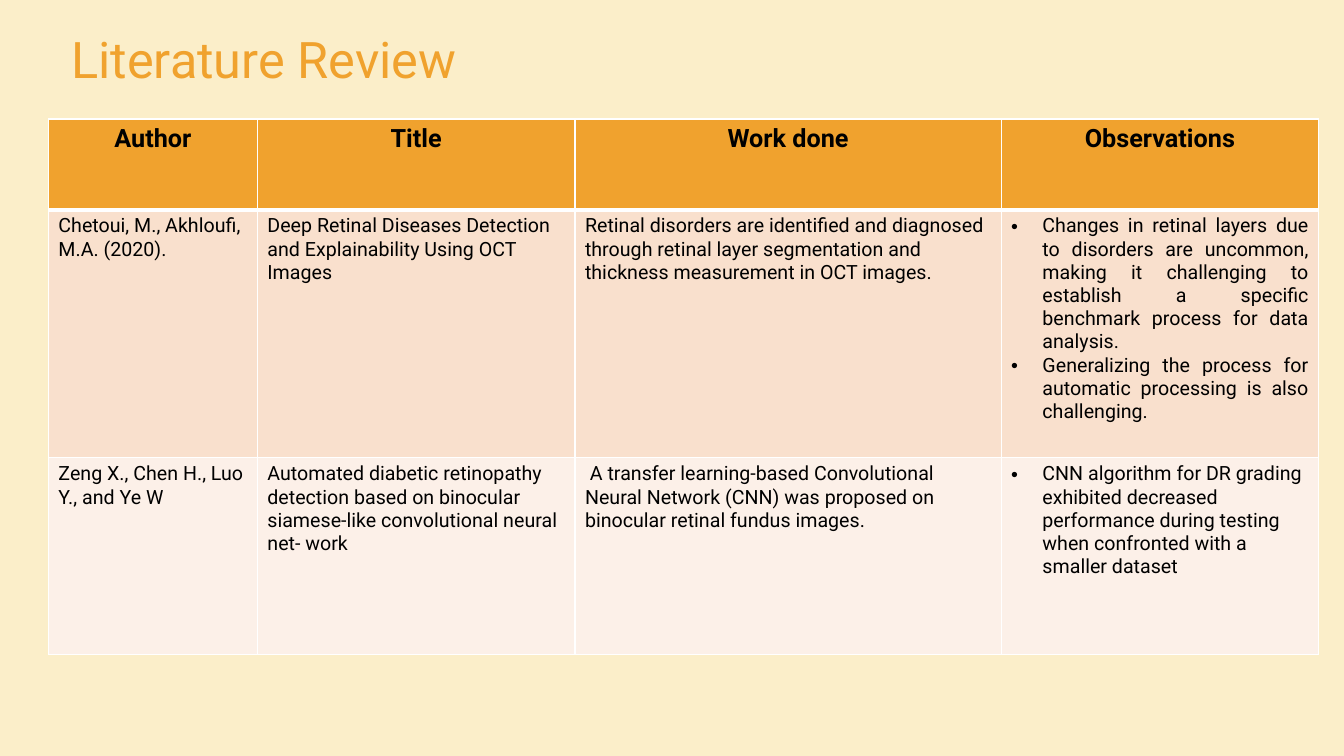
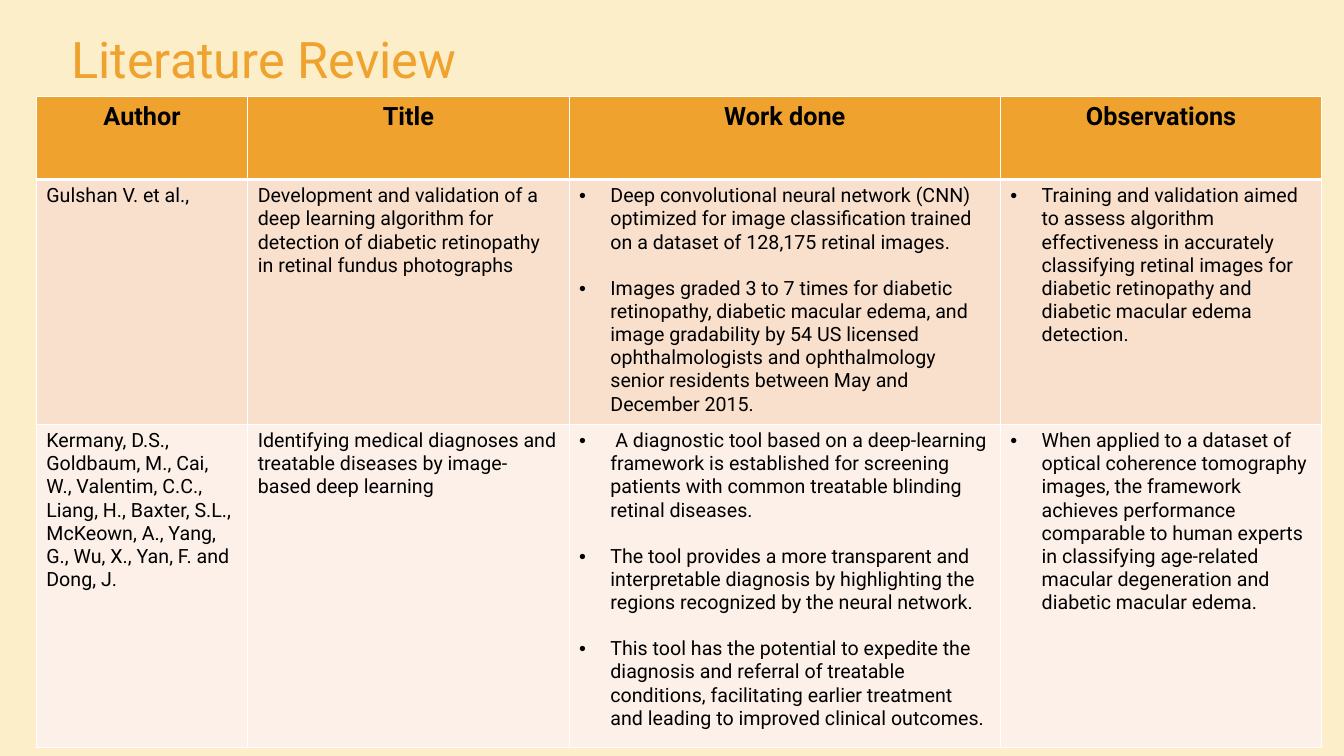
import dataclasses
import lxml.etree
import pptx
import pptx.dml.color
import pptx.enum.text
import pptx.oxml.ns
import pptx.util

Inches = pptx.util.Inches
Pt = pptx.util.Pt
ALIGN = pptx.enum.text.PP_ALIGN
qn = pptx.oxml.ns.qn


@dataclasses.dataclass(frozen=True)
class Theme:
    font: str = "Roboto"
    background: str = "FBEEC9"
    accent: str = "F0A22E"
    text: str = "000000"
    border: str = "FFFFFF"
    bands: tuple = ("F9E0CD", "FCF0E8")
    title_size: int = 36
    header_size: int = 18
    body_size: int = 14
    bullet_indent: float = 0.31
    thin: int = 1
    thick: int = 3


@dataclasses.dataclass(frozen=True)
class Bullets:
    items: tuple
    gap: float = 0
    align: ALIGN = ALIGN.LEFT


THEME = Theme()
TITLE_BOX = (0.61, 0.2, 11.1, 0.76)
HEADERS = ("Author", "Title", "Work done", "Observations")
COLUMN_SHARES = (0.1645, 0.25, 0.3355, 0.25)
LINE_GAP = 16.4


def rgb(value):
    return pptx.dml.color.RGBColor.from_string(value)


def style_runs(p, size, color, bold=False):
    for r in p.runs:
        r.font.name = THEME.font
        r.font.size = Pt(size)
        r.font.bold = bold
        r.font.color.rgb = rgb(color)


# Table cells
def set_border(cell, side, width):
    tc_pr = cell._tc.get_or_add_tcPr()
    ln = lxml.etree.SubElement(tc_pr, qn("a:ln" + side), w=str(Pt(width)))
    fill = lxml.etree.SubElement(ln, qn("a:solidFill"))
    lxml.etree.SubElement(fill, qn("a:srgbClr"), val=THEME.border)


def style_cell(cell, fill, top, bottom):
    for side, width in (("L", THEME.thin), ("R", THEME.thin), ("T", top), ("B", bottom)):
        set_border(cell, side, width)
    cell.fill.solid()
    cell.fill.fore_color.rgb = rgb(fill)


def add_bullet(p):
    p_pr = p._p.get_or_add_pPr()
    indent = Inches(THEME.bullet_indent)
    p_pr.set("marL", str(indent))
    p_pr.set("indent", str(-indent))
    lxml.etree.SubElement(p_pr, qn("a:buFont"), typeface="Arial")
    lxml.etree.SubElement(p_pr, qn("a:buChar"), char="•")


def fill_header(cell, text):
    style_cell(cell, THEME.accent, THEME.thin, THEME.thick)
    p = cell.text_frame.paragraphs[0]
    p.text = text
    p.alignment = ALIGN.CENTER
    style_runs(p, THEME.header_size, THEME.text, bold=True)


def fill_body(cell, content):
    tf = cell.text_frame
    bulleted = isinstance(content, Bullets)
    for i, text in enumerate(content.items if bulleted else (content,)):
        p = tf.add_paragraph() if i else tf.paragraphs[0]
        p.text = text
        if bulleted:
            p.alignment = content.align
            if i:
                p.space_before = Pt(content.gap)
            add_bullet(p)
        style_runs(p, THEME.body_size, THEME.text)


# Slide regions
def add_title(s, box, text):
    tf = s.shapes.add_textbox(*map(Inches, box)).text_frame
    tf.word_wrap = True
    tf.vertical_anchor = pptx.enum.text.MSO_ANCHOR.MIDDLE
    tf.text = text
    style_runs(tf.paragraphs[0], THEME.title_size, THEME.accent)


def add_review_table(s, left, top, width, heights, papers):
    frame = s.shapes.add_table(len(heights), len(HEADERS), Inches(left), Inches(top),
                               Inches(width), Inches(sum(heights)))
    table = frame.table
    table.first_row = table.horz_banding = False
    for column, share in zip(table.columns, COLUMN_SHARES):
        column.width = Inches(width * share)
    for row, height in zip(table.rows, heights):
        row.height = Inches(height)
    for c, text in enumerate(HEADERS):
        fill_header(table.cell(0, c), text)
    for n, paper in enumerate(papers):
        for c, content in enumerate(paper):
            cell = table.cell(n + 1, c)
            style_cell(cell, THEME.bands[n % 2], THEME.thin if n else THEME.thick, THEME.thin)
            fill_body(cell, content)


def add_review_slide(prs, left, top, width, heights, papers):
    s = prs.slides.add_slide(prs.slide_layouts[6])
    s.background.fill.solid()
    s.background.fill.fore_color.rgb = rgb(THEME.background)
    add_title(s, TITLE_BOX, "Literature Review")
    add_review_table(s, left, top, width, heights, papers)


# Content: author, title, work done, observations
OCT_AND_BINOCULAR = (
    ("Chetoui, M., Akhloufi, M.A. (2020).",
     "Deep Retinal Diseases Detection and Explainability Using OCT Images",
     "Retinal disorders are identified and diagnosed through retinal layer segmentation "
     "and thickness measurement in OCT images.",
     Bullets(("Changes in retinal layers due to disorders are uncommon, making it challenging "
              "to establish a specific benchmark process for data analysis.",
              "Generalizing the process for automatic processing is also challenging."),
             align=ALIGN.JUSTIFY)),
    ("Zeng X., Chen H., Luo Y., and Ye W",
     "Automated diabetic retinopathy detection based on binocular siamese-like "
     "convolutional neural net- work",
     " A transfer learning-based Convolutional Neural Network (CNN) was proposed on "
     "binocular retinal fundus images.",
     Bullets(("CNN algorithm for DR grading exhibited decreased performance during testing "
              "when confronted with a smaller dataset",))),
)

FUNDUS_AND_DIAGNOSIS = (
    ("Gulshan V. et al.,",
     "Development and validation of a deep learning algorithm for detection of diabetic "
     "retinopathy in retinal fundus photographs",
     Bullets(("Deep convolutional neural network (CNN) optimized for image classification "
              "trained on a dataset of 128,175 retinal images.",
              "Images graded 3 to 7 times for diabetic retinopathy, diabetic macular edema, "
              "and image gradability by 54 US licensed ophthalmologists and ophthalmology "
              "senior residents between May and December 2015."), gap=LINE_GAP),
     Bullets(("Training and validation aimed to assess algorithm effectiveness in accurately "
              "classifying retinal images for diabetic retinopathy and diabetic macular edema "
              "detection.",))),
    ("Kermany, D.S., Goldbaum, M., Cai, W., Valentim, C.C., Liang, H., Baxter, S.L., "
     "McKeown, A., Yang, G., Wu, X., Yan, F. and Dong, J.",
     "Identifying medical diagnoses and treatable diseases by image- based deep learning",
     Bullets((" A diagnostic tool based on a deep-learning framework is established for "
              "screening patients with common treatable blinding retinal diseases.",
              "The tool provides a more transparent and interpretable diagnosis by "
              "highlighting the regions recognized by the neural network.",
              "This tool has the potential to expedite the diagnosis and referral of treatable "
              "conditions, facilitating earlier treatment and leading to improved clinical "
              "outcomes."), gap=LINE_GAP),
     Bullets(("When applied to a dataset of optical coherence tomography images, the framework "
              "achieves performance comparable to human experts in classifying age-related "
              "macular degeneration and diabetic macular edema.",))),
)


def main():
    prs = pptx.Presentation()
    prs.slide_width = Inches(13.33)
    prs.slide_height = Inches(7.5)
    add_review_slide(prs, 0.48, 1.18, 12.6, (0.9, 2.46, 1.95), OCT_AND_BINOCULAR)
    add_review_slide(prs, 0.36, 0.96, 12.75, (0.82, 2.4, 3.21), FUNDUS_AND_DIAGNOSIS)
    prs.save("out.pptx")


if __name__ == "__main__":
    main()
